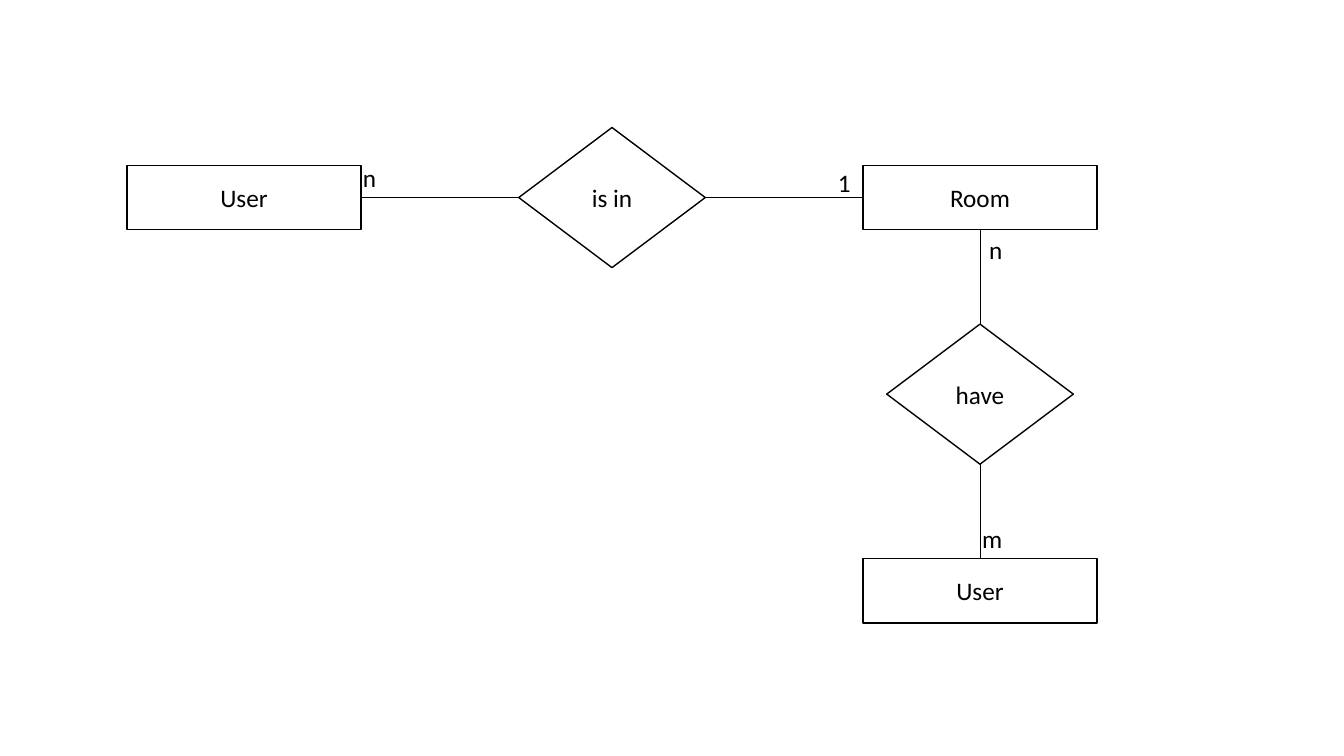
from lxml.etree import SubElement
from pptx import Presentation
from pptx.dml.color import RGBColor
from pptx.enum.shapes import MSO_CONNECTOR, MSO_SHAPE
from pptx.enum.text import MSO_ANCHOR, MSO_AUTO_SIZE, PP_ALIGN
from pptx.oxml.ns import qn
from pptx.util import Inches, Pt

BLACK = RGBColor(0, 0, 0)
WHITE = RGBColor(255, 255, 255)
FONT = "Calibri"
TOP, LEFT, BOTTOM, RIGHT = range(4)
COLUMN_STEP, ROW_STEP = 3.65, 1.95
ENTITY = (MSO_SHAPE.RECTANGLE, 2.32, 0.64)
RELATIONSHIP = (MSO_SHAPE.DIAMOND, 1.85, 1.39)


def add_text(shape, text, alignment):
    paragraph = shape.text_frame.paragraphs[0]
    paragraph.alignment = alignment
    run = paragraph.add_run()
    run.text = text
    run.font.name = FONT
    run.font.size = Pt(18)
    run.font.color.rgb = BLACK


def add_node(slide, kind, text, center_x, center_y):
    geometry, width, height = kind
    shape = slide.shapes.add_shape(
        geometry, Inches(center_x - width / 2), Inches(center_y - height / 2),
        Inches(width), Inches(height))
    shape.shadow.inherit = False
    shape.fill.solid()
    shape.fill.fore_color.rgb = WHITE
    shape.line.color.rgb = BLACK
    shape.line.width = Pt(1)
    shape.text_frame.vertical_anchor = MSO_ANCHOR.MIDDLE
    add_text(shape, text, PP_ALIGN.CENTER)
    return shape


def connect(slide, start, start_site, end, end_site):
    connector = slide.shapes.add_connector(MSO_CONNECTOR.STRAIGHT, 0, 0, 0, 0)
    connector.begin_connect(start, start_site)
    connector.end_connect(end, end_site)
    connector.line.color.rgb = BLACK
    connector.line.width = Pt(0.5)
    SubElement(connector._element.spPr, qn("a:effectLst"))


def add_cardinality(slide, text, left, top):
    label = slide.shapes.add_textbox(
        Inches(left), Inches(top), Inches(0.14), Inches(0.4))
    frame = label.text_frame
    frame.word_wrap = True
    frame.auto_size = MSO_AUTO_SIZE.SHAPE_TO_FIT_TEXT
    frame.margin_left = Inches(0.02)
    frame.margin_right = 0
    add_text(label, text, PP_ALIGN.LEFT)


def add_diagram(slide, left, top):
    columns = [left + COLUMN_STEP * index for index in range(3)]
    rows = [top + ROW_STEP * index for index in range(3)]

    user = add_node(slide, ENTITY, "User", columns[0], rows[0])
    is_in = add_node(slide, RELATIONSHIP, "is in", columns[1], rows[0])
    room = add_node(slide, ENTITY, "Room", columns[2], rows[0])
    have = add_node(slide, RELATIONSHIP, "have", columns[2], rows[1])
    room_user = add_node(slide, ENTITY, "User", columns[2], rows[2])

    connect(slide, user, RIGHT, is_in, LEFT)
    connect(slide, is_in, RIGHT, room, LEFT)
    connect(slide, have, TOP, room, BOTTOM)
    connect(slide, room_user, TOP, have, BOTTOM)

    for text, label_x, label_y in (
            ("n", columns[0] + 1.16, rows[0] - 0.4),
            ("1", columns[2] - 1.43, rows[0] - 0.35),
            ("n", columns[2] + 0.07, rows[0] + 0.32),
            ("m", columns[2], rows[2] - 0.72)):
        add_cardinality(slide, text, label_x, label_y)


presentation = Presentation()
presentation.slide_width = Inches(13.33)
presentation.slide_height = Inches(7.5)
diagram_slide = presentation.slides.add_slide(presentation.slide_layouts[6])
add_diagram(diagram_slide, 2.42, 1.96)
presentation.save("out.pptx")
